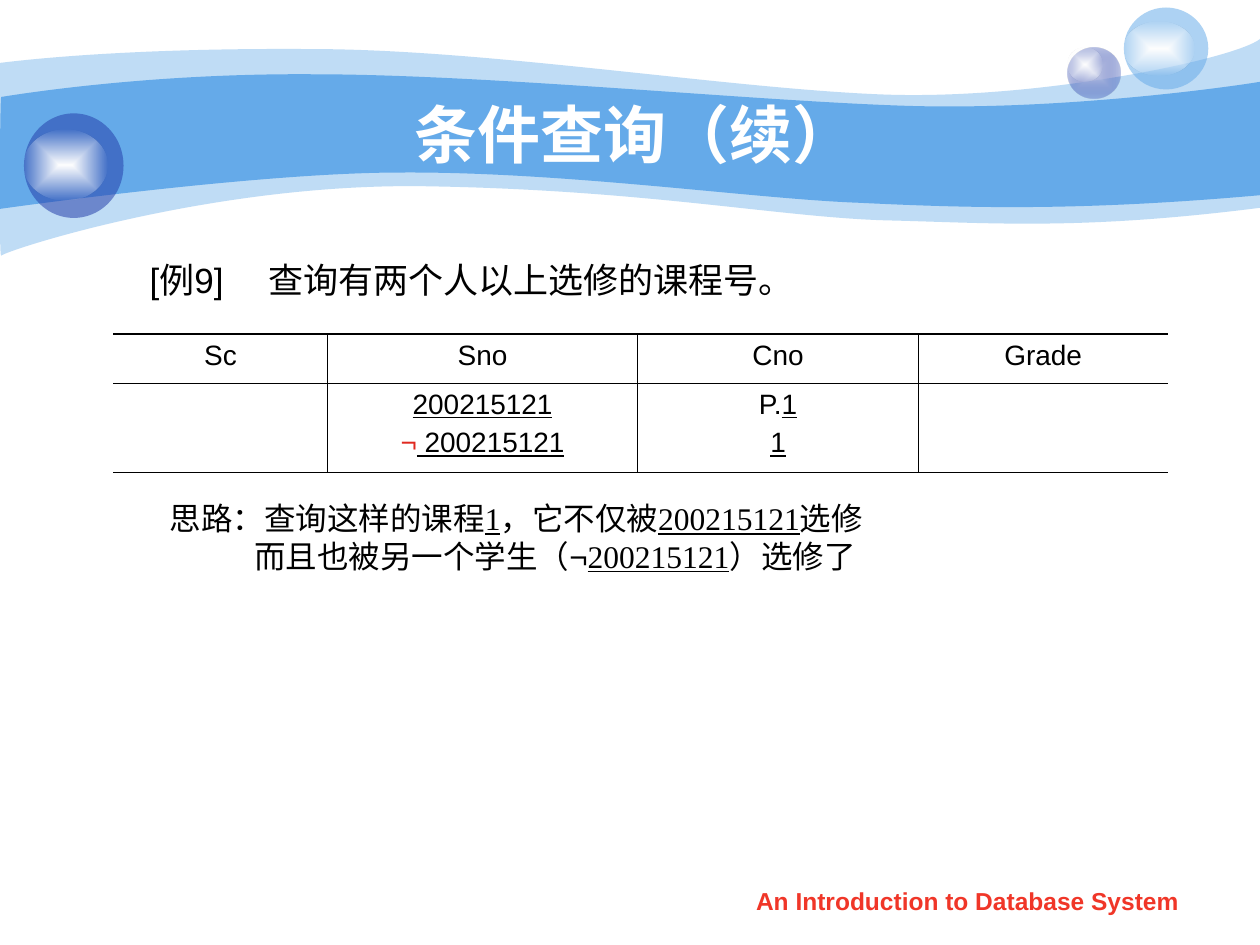
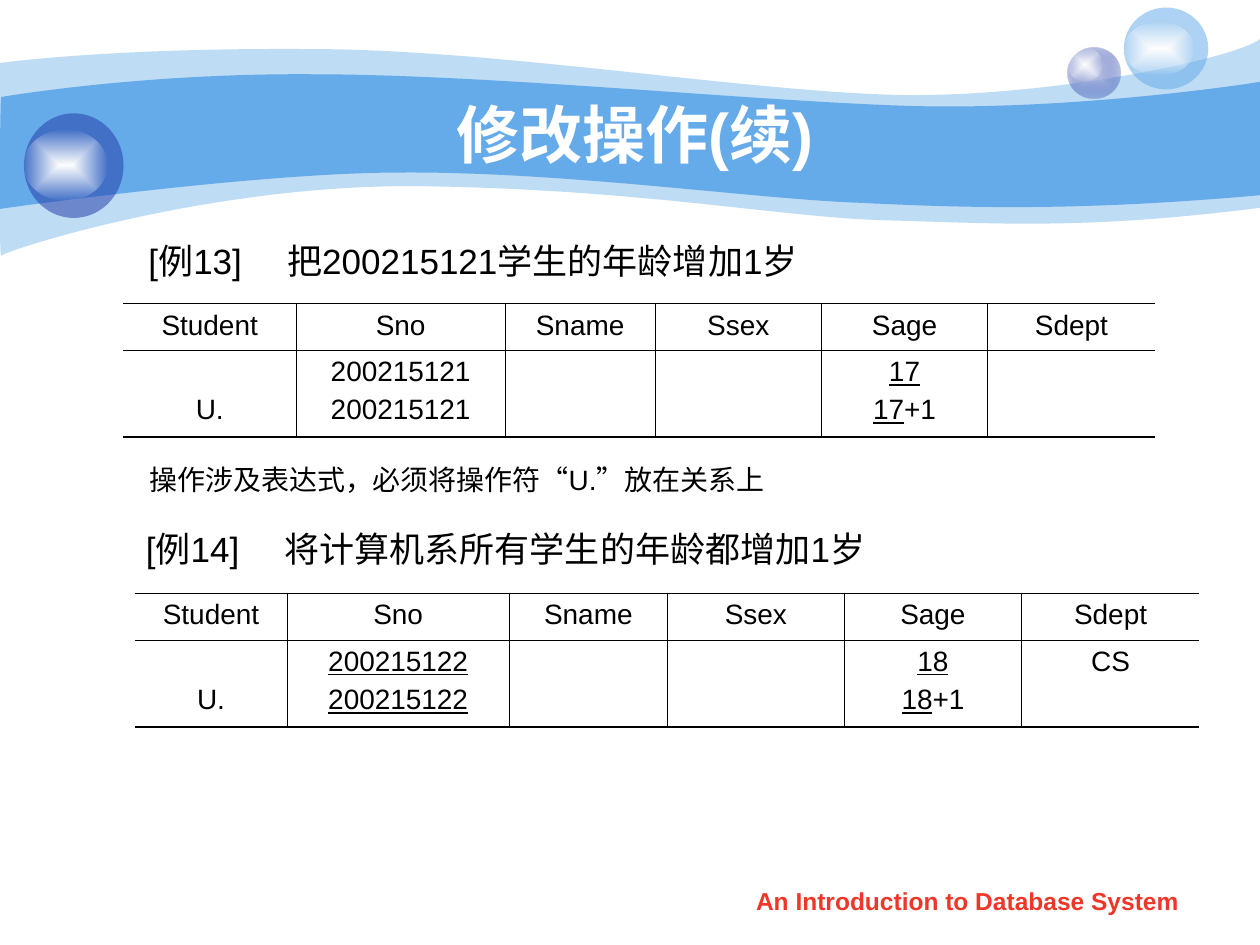
from pptx import Presentation
from pptx.dml.color import RGBColor
from pptx.enum.shapes import MSO_SHAPE
from pptx.enum.text import MSO_ANCHOR, MSO_AUTO_SIZE, PP_ALIGN
from pptx.oxml import parse_xml
from pptx.oxml.ns import nsdecls, qn
from pptx.util import Inches, Pt

OVAL = MSO_SHAPE.OVAL
CENTER = PP_ALIGN.CENTER
MIDDLE, TOP, BOTTOM = MSO_ANCHOR.MIDDLE, MSO_ANCHOR.TOP, MSO_ANCHOR.BOTTOM
NO_AUTOFIT = MSO_AUTO_SIZE.NONE
TITLE_ONLY = 5

SKY, NAVY, PALE = "65AAE9", "233DA9", "C6CCE8"
WHITE, BLACK, RED, FOOTER_RED = "FFFFFF", "000000", "E02920", "F03628"
SANS, SERIF = "Arial", "Times New Roman"
THICK, THIN = 1.08, 0.45
UNDERLINE = {"underline": True}

# Wave outlines: a start point, then segments of three points (curve) or one (line)
OUTER_WAVE = ((0, 0.5), [
    [(0.24, 0.47), (1.07, 0.38), (2.47, 0.39)],
    [(3.86, 0.39), (5.75, 0.7), (6.99, 0.75)],
    [(8.22, 0.8), (9.8, 0.47), (10, 0.31)],
    [(10, 1.65)],
    [(8.58, 1.83), (7.87, 1.77), (7.05, 1.75)],
    [(6.22, 1.73), (5.15, 1.51), (3.43, 1.48)],
    [(1.72, 1.44), (0.04, 1.99), (0.01, 2.03)],
    [(-0.01, 2.08), (0, 0.75), (0, 0.5)],
])
INNER_WAVE = ((0.01, 0.77), [
    [(0.02, 0.77), (1.1, 0.58), (2.48, 0.59)],
    [(3.86, 0.59), (5.95, 0.8), (7.18, 0.84)],
    [(8.41, 0.88), (9.76, 0.69), (10, 0.65)],
    [(10, 1.55)],
    [(8.53, 1.68), (7.65, 1.65), (6.82, 1.61)],
    [(5.99, 1.58), (4.47, 1.36), (3.17, 1.37)],
    [(2.03, 1.37), (-0.02, 1.66), (-0.01, 1.66)],
    [(0, 1.66), (0, 0.77), (0.01, 0.77)],
])

# Bubbles: box, then (colour, opacity) from centre to edge; one entry is a plain fill
GLOW = [(WHITE, 100), ("FEFEFE", 0)]
BUBBLES = [
    ((8.47, 0.38, 0.42, 0.4), [(PALE, 100), (NAVY, 31)]),
    ((8.47, 0.38, 0.28, 0.27), GLOW),
    ((8.92, 0.06, 0.67, 0.65), [(SKY, 53)]),
    ((8.92, 0.17, 0.56, 0.43), GLOW),
    ((0.19, 0.9, 0.79, 0.83), [(NAVY, 53)]),
    ((0.19, 1.03, 0.66, 0.56), GLOW),
]


def rgb(color):
    return RGBColor.from_string(color)


def inches(box):
    return [Inches(value) for value in box]


# Fills
def color_xml(color, opacity):
    return f'<a:srgbClr val="{color}"><a:alpha val="{opacity * 1000}"/></a:srgbClr>'


def paint(shape, stops):
    """Fill with one translucent colour, or with a gradient from the centre."""
    if len(stops) == 1:
        fill = f'<a:solidFill {nsdecls("a")}>{color_xml(*stops[0])}</a:solidFill>'
    else:
        marks = "".join(f'<a:gs pos="{index * 100000}">{color_xml(*stop)}</a:gs>'
                        for index, stop in enumerate(stops))
        fill = (f'<a:gradFill {nsdecls("a")} rotWithShape="1"><a:gsLst>{marks}</a:gsLst>'
                '<a:path path="rect"><a:fillToRect l="50000" t="50000" r="50000" b="50000"/>'
                '</a:path></a:gradFill>')
    shape.shadow.inherit = False
    shape.line.fill.background()
    shape.fill.background()
    properties = shape._element.spPr
    properties.replace(properties.find(qn("a:noFill")), parse_xml(fill))


# Text
def write(paragraph, runs, size, font=SANS, color=BLACK, bold=False):
    """A run is a string, or a string with the settings that differ."""
    for item in runs:
        text, changes = (item, {}) if isinstance(item, str) else item
        run = paragraph.add_run()
        run.text = text
        run.font.size = Pt(size)
        run.font.name = changes.get("font", font)
        run.font.color.rgb = rgb(changes.get("color", color))
        run.font.bold = bold
        run.font.underline = changes.get("underline", False)


def indent(paragraph, left, first_line=0):
    properties = paragraph._p.get_or_add_pPr()
    properties.set("marL", str(Inches(left)))
    properties.set("indent", str(Inches(first_line)))


def add_text(slide, box, runs, size, **style):
    frame = slide.shapes.add_textbox(*inches(box)).text_frame
    frame.word_wrap = True
    write(frame.paragraphs[0], runs, size, **style)
    return frame


def add_example(slide, box, start, label, label_width, task):
    """Example label, with its task at the hanging indent."""
    frame = add_text(slide, box, [f"{label}\t{task}"], 20)
    indent(frame.paragraphs[0], start + label_width, -label_width)
    return frame


# Backdrop, title and footer
def add_wave(slide, outline, opacity):
    start, segments = outline
    builder = slide.shapes.build_freeform(*inches(start))
    builder.add_line_segments([inches(point) for segment in segments for point in segment])
    shape = builder.convert_to_shape()
    # Join the lines of each three-point segment into one curve
    lines = iter(list(shape._element.iter(qn("a:lnTo"))))
    for segment in segments:
        parts = [next(lines) for _ in segment]
        if len(parts) == 3:
            curve = parse_xml(f'<a:cubicBezTo {nsdecls("a")}/>')
            parts[0].addprevious(curve)
            for part in parts:
                curve.append(part[0])
                part.getparent().remove(part)
    paint(shape, [(SKY, opacity)])


def add_base_slide(presentation, title_text):
    slide = presentation.slides.add_slide(presentation.slide_layouts[TITLE_ONLY])
    add_wave(slide, OUTER_WAVE, 41)
    add_wave(slide, INNER_WAVE, 100)
    for box, stops in BUBBLES:
        paint(slide.shapes.add_shape(OVAL, *inches(box)), stops)

    title = slide.shapes.title
    title.left, title.top, title.width, title.height = inches((1, 0.75, 8.08, 0.62))
    slide.shapes._spTree.append(title._element)  # bring in front of the waves
    frame = title.text_frame
    frame.auto_size = NO_AUTOFIT
    frame.vertical_anchor = MIDDLE
    frame.paragraphs[0].alignment = CENTER
    write(frame.paragraphs[0], [title_text], 36, color=WHITE, bold=True)

    footer = add_text(slide, (5.71, 6.98, 3.94, 0.35), ["An Introduction to Database System"],
                      14, color=FOOTER_RED, bold=True)
    footer.paragraphs[0].alignment = CENTER
    return slide


# Query tables
def set_borders(cell, left, right, top, bottom):
    properties = cell._tc.get_or_add_tcPr()
    for index, (side, width) in enumerate(zip("LRTB", (left, right, top, bottom))):
        fill = f'<a:solidFill><a:srgbClr val="{BLACK}"/></a:solidFill>' if width else "<a:noFill/>"
        properties.insert(index, parse_xml(
            f'<a:ln{side} {nsdecls("a")} w="{Pt(width)}">{fill}</a:ln{side}>'))


def add_query_table(slide, left, top, widths, heights, header, query):
    """Header row over one query row; a query cell is a list of lines of runs."""
    table = slide.shapes.add_table(2, len(widths), *inches(
        (left, top, sum(widths), sum(heights)))).table
    table.first_row = table.horz_banding = False
    for column, width in zip(table.columns, widths):
        column.width = Inches(width)
    for row, height in zip(table.rows, heights):
        row.height = Inches(height)

    last = len(widths) - 1
    for row_index, cells in enumerate(([[[name]] for name in header], query)):
        for index, lines in enumerate(cells):
            cell = table.cell(row_index, index)
            cell.fill.background()
            set_borders(cell, THIN if index > 0 else 0, THIN if index < last else 0,
                        THIN if row_index else THICK, THICK if row_index else THIN)
            cell.vertical_anchor = TOP
            if row_index and index == 0:  # the operator stands on the lower line
                cell.vertical_anchor = BOTTOM
                cell.margin_bottom = Inches(0.09)
            for line_index, runs in enumerate(lines):
                paragraph = cell.text_frame.paragraphs[0]
                if line_index:
                    paragraph = cell.text_frame.add_paragraph()
                    paragraph.space_before = Pt(4)
                paragraph.alignment = CENTER
                write(paragraph, runs, 16)


def add_student_table(slide, left, top, widths, number, age, department):
    header = ["Student", "Sno", "Sname", "Ssex", "Sage", "Sdept"]
    ages = [[(age, UNDERLINE)], [(age, UNDERLINE), "+1"]]
    query = [[["U."]], [[number], [number]], [], [], ages, department]
    add_query_table(slide, left, top, widths, (0.37, 0.69), header, query)


# Slides
def add_condition_slide(presentation):
    slide = add_base_slide(presentation, "条件查询（续）")
    add_example(slide, (0.5, 2, 9.07, 0.65), 0.59, "[例9]", 0.94,
                "查询有两个人以上选修的课程号。")
    idea = add_text(slide, (0.75, 3.91, 8.82, 0.7),
                    ["思路：查询这样的课程", ("1", UNDERLINE), "，它不仅被",
                     ("200215121", UNDERLINE), "选修"], 18, font=SERIF)
    indent(idea.paragraphs[0], 0.5)
    second_line = idea.add_paragraph()
    indent(second_line, 1.17)
    write(second_line, ["而且也被另一个学生（", ("¬", {"font": SANS}),
                        ("200215121", UNDERLINE), "）选修了"], 18, font=SERIF)
    add_query_table(
        slide, 0.9, 2.65, (1.7, 2.46, 2.23, 1.98), (0.39, 0.71),
        ["Sc", "Sno", "Cno", "Grade"],
        [[],
         [[("200215121", UNDERLINE)], [("¬", {"color": RED}), (" 200215121", UNDERLINE)]],
         [["P.", ("1", UNDERLINE)], [("1", UNDERLINE)]],
         []])


def add_update_slide(presentation):
    slide = add_base_slide(presentation, "修改操作(续)")
    body = add_example(slide, (0.5, 1.62, 8.99, 2.52), 0.58, "[例13]", 1.1,
                       "把200215121学生的年龄增加1岁")
    note = body.add_paragraph()
    indent(note, 0.59)
    note.space_before = Pt(90)  # leaves room for the table
    write(note, ["操作涉及表达式，必须将操作符“U.”放在关系上"], 16)
    for paragraph in body.paragraphs:
        paragraph.line_spacing = 1.7

    add_student_table(slide, 0.98, 2.41, (1.37, 1.66, 1.19, 1.32, 1.32, 1.33),
                      "200215121", "17", [])
    add_example(slide, (0.9, 4.14, 8.75, 0.57), 0.16, "[例14]", 1.1,
                "将计算机系所有学生的年龄都增加1岁")
    add_student_table(slide, 1.07, 4.71, (1.21, 1.76, 1.26, 1.4, 1.41, 1.41),
                      ("200215122", UNDERLINE), "18", [["CS"]])


def main():
    presentation = Presentation()
    presentation.slide_width, presentation.slide_height = Inches(10), Inches(7.5)
    add_condition_slide(presentation)
    add_update_slide(presentation)
    presentation.save("out.pptx")


if __name__ == "__main__":
    main()
